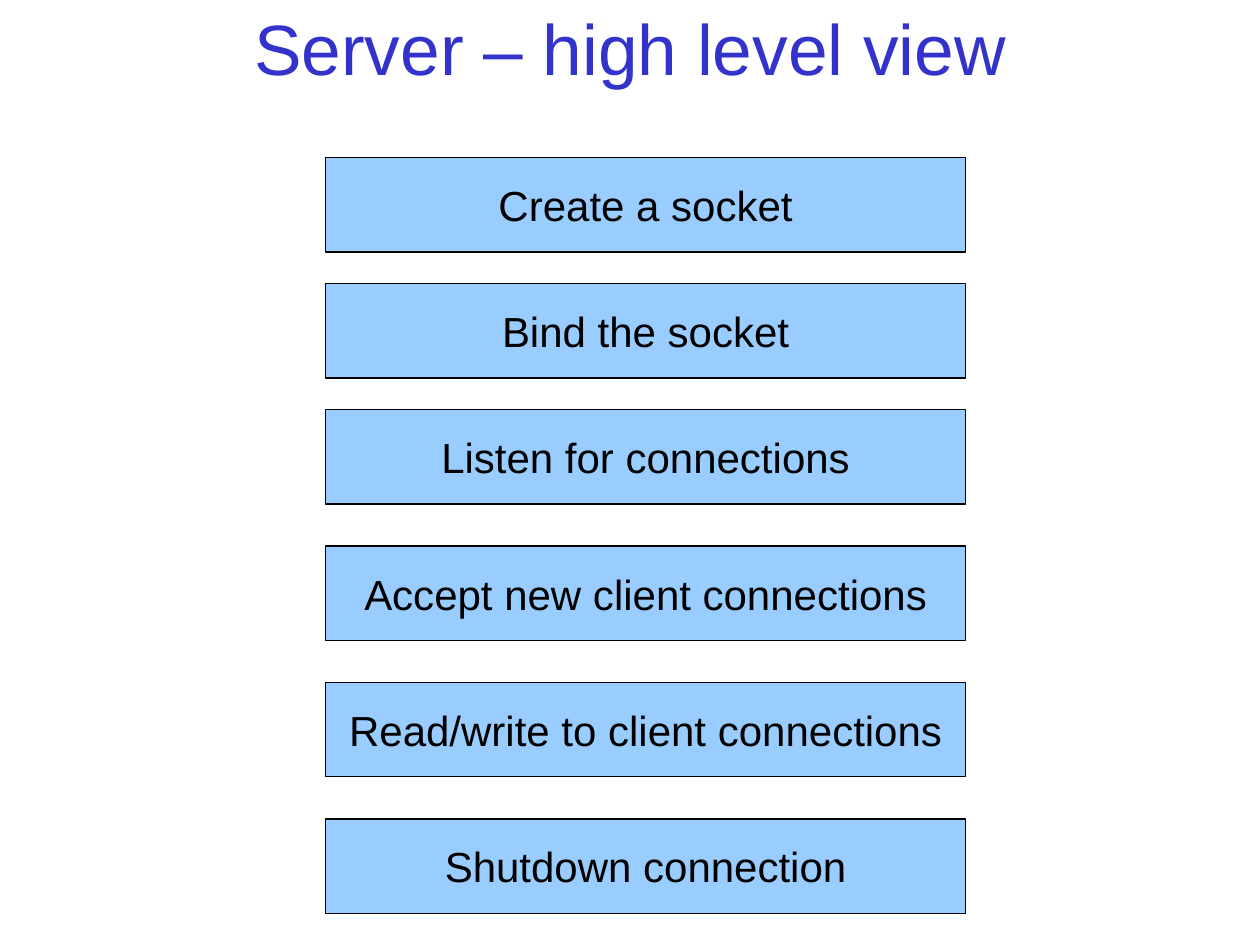
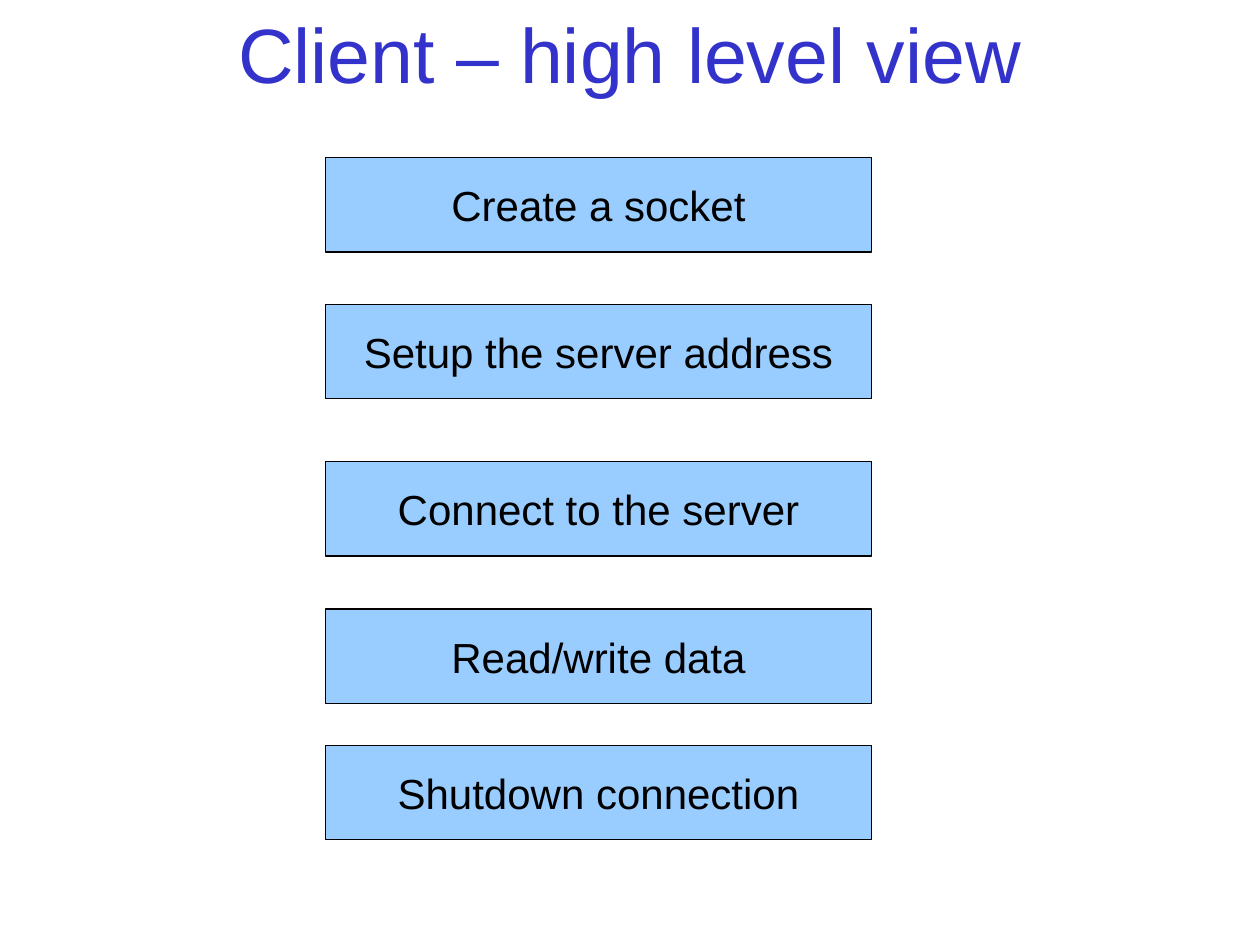
"""Build two slides listing the steps of a socket server and client."""
from pptx import Presentation
from pptx import util as u
from pptx.dml.color import RGBColor
from pptx.enum import shapes, text

HUES = {"title": "3333CC", "fill": "99CCFF", "ink": "000000"}
FACE = "Arial"
LEFT, HIGH = 6.56, 1.9
VIEWS = [
    {
        "title": "Server – high level view", "size": 40.7, "lead": 0.9, "wide": 12.91,
        "steps": [
            ("Create a socket", 3.18),
            ("Bind the socket", 5.72),
            ("Listen for connections", 8.26),
            ("Accept new client connections", 11.01),
            ("Read/write to client connections", 13.76),
            ("Shutdown connection", 16.51),
        ],
    },
    {
        "title": "Client – high level view", "size": 44, "lead": 1.0, "wide": 11.01,
        "steps": [
            ("Create a socket", 3.18),
            ("Setup the server address", 6.14),
            ("Connect to the server", 9.31),
            ("Read/write data", 12.28),
            ("Shutdown connection", 15.03),
        ],
    },
]


def hue(name):
    return RGBColor.from_string(HUES[name])


def write(shape, words, size, ink, wrap):
    frame = shape.text_frame
    frame.text = words
    frame.word_wrap = wrap
    frame.auto_size = text.MSO_AUTO_SIZE.NONE
    frame.vertical_anchor = text.MSO_ANCHOR.MIDDLE
    para = frame.paragraphs[0]
    para.alignment = text.PP_ALIGN.CENTER
    para.font.name = FACE
    para.font.size = u.Pt(size)
    para.font.color.rgb = hue(ink)
    return para


def add_title(slide, view):
    title = slide.shapes.title
    title.left, title.top = u.Cm(0), u.Cm(0)
    title.width, title.height = u.Cm(25.4), u.Cm(2.12)
    para = write(title, view["title"], view["size"], "title", True)
    para.line_spacing = view["lead"]


def add_step(slide, words, top, wide):
    box = slide.shapes.add_shape(
        shapes.MSO_SHAPE.RECTANGLE, u.Cm(LEFT), u.Cm(top), u.Cm(wide), u.Cm(HIGH))
    box.shadow.inherit = False
    box.fill.solid()
    box.fill.fore_color.rgb = hue("fill")
    box.line.color.rgb = hue("ink")
    box.line.width = u.Pt(0.75)
    write(box, words, 24, "ink", False)


def main():
    deck = Presentation()
    deck.slide_width, deck.slide_height = u.Cm(25.4), u.Cm(19.05)
    layout = deck.slide_layouts.get_by_name("Title Only")
    for view in VIEWS:
        slide = deck.slides.add_slide(layout)
        add_title(slide, view)
        for words, top in view["steps"]:
            add_step(slide, words, top, view["wide"])
    deck.save("out.pptx")


if __name__ == "__main__":
    main()
